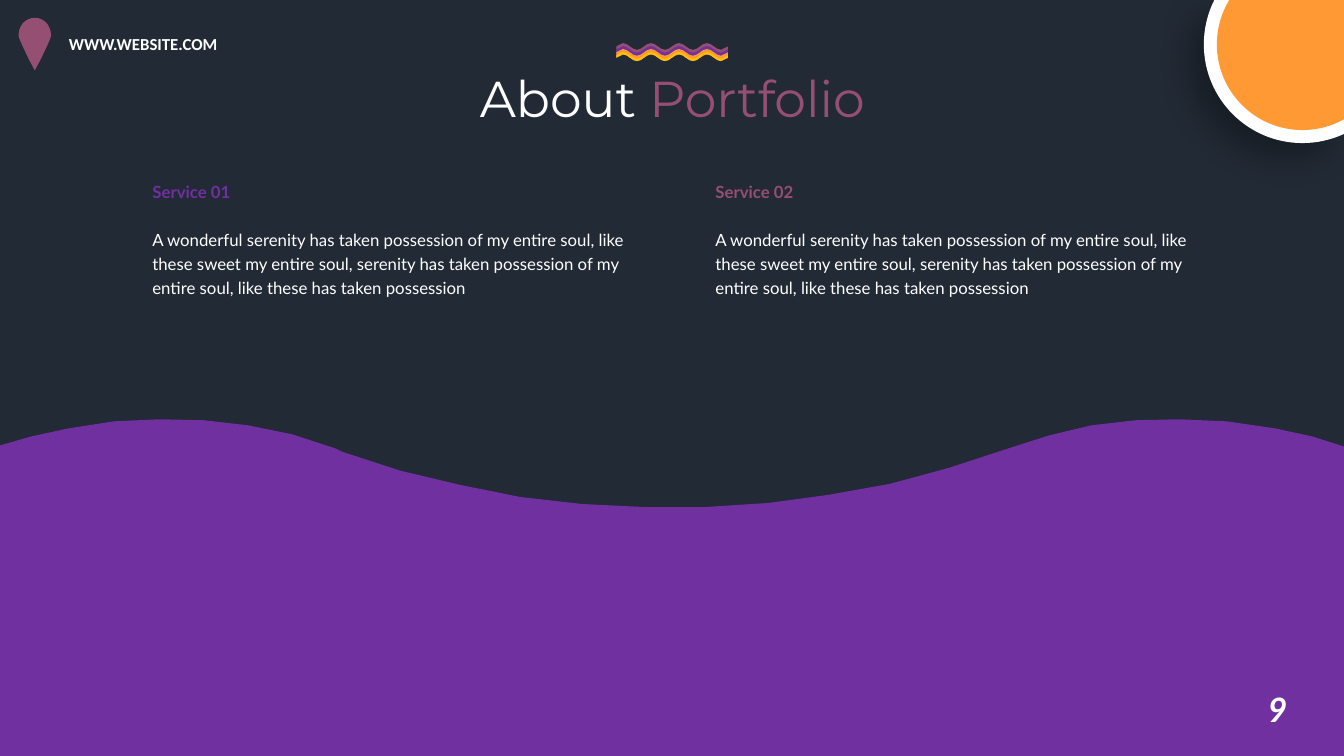
import math
from lxml import etree
from pptx import Presentation
from pptx import util as u
from pptx.dml.color import RGBColor
from pptx.enum import text
from pptx.oxml import ns

WHITE, PURPLE, MAUVE = "FFFFFF", "7030A0", "954F72"
ORANGE, GOLD = "FF9933", "FFC000"
rgb = RGBColor.from_string

deck = Presentation()
deck.slide_width, deck.slide_height = u.Pt(960), u.Pt(540)
slide = deck.slides.add_slide(deck.slide_layouts[5])
slide.background.fill.solid()
slide.background.fill.fore_color.rgb = rgb("222A35")


def draw(home, steps, color):
    dots = [(u.Pt(s[i]), u.Pt(s[i + 1])) for s in steps for i in range(0, len(s), 2)]
    pen = home.build_freeform(*dots[0])
    pen.add_line_segments(dots[1:])
    shape = pen.convert_to_shape()
    marks = iter(list(shape.element.iter(ns.qn("a:moveTo"), ns.qn("a:lnTo"))))
    for step in steps:
        parts = [next(marks) for i in range(len(step) // 2)]
        if len(parts) == 3:
            parts[0].tag = ns.qn("a:cubicBezTo")
            for part in parts[1:]:
                parts[0].append(part[0])
                part.getparent().remove(part)
    shape.shadow.inherit = False
    shape.fill.solid()
    shape.fill.fore_color.rgb = rgb(color)
    shape.line.fill.background()
    return shape


def style(run, font, size, color, bold=False, italic=False):
    run.font.name, run.font.size = font, u.Pt(size)
    run.font.bold, run.font.italic = bold, italic
    run.font.color.rgb = rgb(color)


hill = [(113.8, 299.5), (145.4, 300.2), (177.1, 303.8), (208.8, 310.3),
        (239.8, 320.4), (244.1, 322.6), (285.8, 336.2), (328.3, 346.3),
        (371.5, 355), (415.4, 360), (460, 362.2), (504, 362.2),
        (548.6, 359.3), (591.8, 353.5), (635.8, 345.6), (678.2, 334.1),
        (720, 320.4), (749.5, 311), (779.8, 303.8), (811.4, 300.2),
        (842.4, 299.5), (876.2, 301), (910.8, 306), (937.4, 311.8),
        (960, 319), (960, 540), (0, 540), (0, 318.2), (22.3, 311.8),
        (49, 306), (81.4, 301)]
draw(slide.shapes, hill, PURPLE)

half = [(0, 12.7), (2.5, 13), (4.8, 13.8), (7, 15.2), (8.9, 17), (10.2, 19.2),
        (11.2, 21.7), (11.6, 24.5), (11.5, 26), (11, 27.7), (10.2, 29.6),
        (9.2, 31.8), (8.2, 34), (7.1, 36.3), (6, 38.7), (4.9, 41),
        (3.8, 43.2), (2.8, 45.1), (1.8, 46.9), (1, 48.4), (0.4, 49.5)]
mid = 24.9
pin = [(mid + x, y) for x, y in half] + [(mid, 50.2)]
pin += [(mid - x, y) for x, y in half[:0:-1]]
draw(slide.shapes, pin, MAUVE)

sunx, suny = 930.4, 31.7
sun = slide.shapes.add_group_shape().shapes
discs = []
for ray, color in [(70.5, WHITE), (61.2, ORANGE)]:
    first = math.acos((960 - sunx) / ray)
    last = math.pi + math.asin(suny / ray)
    turns = [first, math.pi / 2, math.pi, last]
    rim = [(sunx + ray * math.cos(t), suny + ray * math.sin(t)) for t in turns]
    steps = [(rim[3][0], 0), (960, 0), rim[0]]
    for i in range(3):
        pull = 4 / 3 * math.tan((turns[i + 1] - turns[i]) / 4)
        (ax, ay), (bx, by) = rim[i:i + 2]
        steps.append((ax - pull * (ay - suny), ay + pull * (ax - sunx),
                      bx + pull * (by - suny), by - pull * (bx - sunx), bx, by))
    discs.append(draw(sun, steps, color))

glow = discs[0].element.spPr.find(ns.qn("a:effectLst"))
cast = etree.SubElement(glow, ns.qn("a:outerShdw"), blurRad=str(u.Pt(23)),
                        dist=str(u.Pt(15)), dir="8100000", algn="tr", rotWithShape="0")
tint = etree.SubElement(cast, ns.qn("a:srgbClr"), val="000000")
etree.SubElement(tint, ns.qn("a:alpha"), val="29000")

title = slide.shapes.title
title.left, title.top = u.Pt(323.3), u.Pt(44.6)
title.width, title.height = u.Pt(313.9), u.Pt(51.1)
frame = title.text_frame
frame.word_wrap = False
frame.auto_size = text.MSO_AUTO_SIZE.NONE
frame.vertical_anchor = text.MSO_ANCHOR.TOP
line = frame.paragraphs[0]
line.alignment = text.PP_ALIGN.CENTER
for word, color in [("About ", WHITE), ("Portfolio", MAUVE)]:
    run = line.add_run()
    run.text = word
    style(run, "Montserrat", 36, color)

left, right, swing, bend = 440.2, 520, 2.4, 3.64
waves = slide.shapes.add_group_shape().shapes
low = 41.2
for i, color in enumerate([MAUVE, PURPLE, ORANGE, GOLD]):
    high = 33.2 + 2.1 * i
    steps = [(left, high), (445, high - swing)]
    for k in range(7):
        x, y = 445 + 10 * k, swing * (-1) ** k
        steps.append((x + bend, high - y, x + 10 - bend, high + y, x + 10, high + y))
    steps += [(right, high), (right, low), (515, low + swing)]
    for k in range(7):
        x, y = 515 - 10 * k, swing * (-1) ** k
        steps.append((x - bend, low + y, x - 10 + bend, low - y, x - 10, low - y))
    draw(waves, steps + [(left, low)], color)

labels = [("9", 898.6, 488.9, 28.8, 36, False, "Lato", 24, True),
          ("WWW.WEBSITE.COM", 42.1, 20.9, 182, 21.6, True, "Calibri", 12, False)]
for words, x, y, w, h, wrap, font, size, slant in labels:
    frame = slide.shapes.add_textbox(u.Pt(x), u.Pt(y), u.Pt(w), u.Pt(h)).text_frame
    frame.word_wrap = wrap
    frame.text = words
    style(frame.paragraphs[0].runs[0], font, size, WHITE, True, slant)

body = ("A wonderful serenity has taken possession of my entire soul, like these "
        "sweet my entire soul, serenity has taken possession of my entire soul, "
        "like these has taken possession")
for x, head, color in [(101.8, "Service 01", PURPLE), (504, "Service 02", MAUVE)]:
    box = slide.shapes.add_textbox(u.Pt(x), u.Pt(123.1), u.Pt(380), u.Pt(93))
    frame = box.text_frame
    frame.word_wrap = True
    frame.text = head + "\n" + body
    top, main = frame.paragraphs
    top.line_spacing = main.line_spacing = 1.2
    main.space_before = u.Pt(17.2)
    style(top.runs[0], "Lato", 12, color, True)
    style(main.runs[0], "Lato", 12, WHITE)

deck.save("out.pptx")
